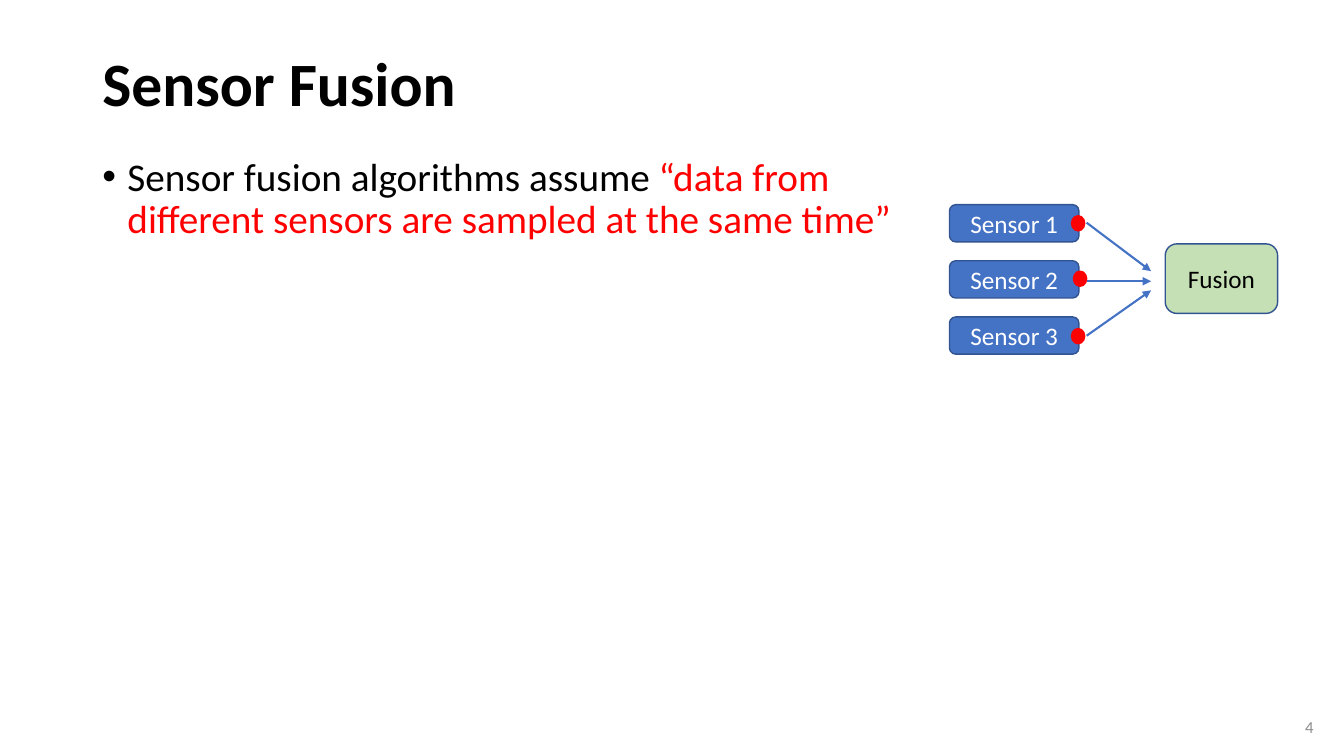
from lxml.etree import SubElement
from pptx import Presentation
from pptx.dml.color import RGBColor
from pptx.enum.shapes import MSO_CONNECTOR, MSO_SHAPE
from pptx.enum.text import MSO_ANCHOR, PP_ALIGN
from pptx.oxml.ns import qn
from pptx.util import Pt

COLORS = {
    "black": "000000", "white": "FFFFFF", "red": "FF0000", "gray": "8C8C8C",
    "blue": "4472C4", "outline": "325491", "green": "C5E0B4",
}


def color(name):
    return RGBColor.from_string(COLORS[name])


def add_span(para, text, size=18, ink="black", bold=False, font="Calibri"):
    span = para.add_run()
    span.text = text
    span.font.name = font
    span.font.size = Pt(size)
    span.font.bold = bold
    span.font.color.rgb = color(ink)


class SlideBuilder:
    def __init__(self, page):
        self.page = page
        self.line_width = 1
        self.arrow_width = 1.5

    def text(self, left, top, width, height, anchor=MSO_ANCHOR.MIDDLE,
             align=PP_ALIGN.LEFT, spacing=1.0):
        """Add a wrapping text box and return its first paragraph."""
        box = self.page.shapes.add_textbox(Pt(left), Pt(top), Pt(width), Pt(height))
        frame = box.text_frame
        frame.word_wrap = True
        frame.vertical_anchor = anchor
        para = frame.paragraphs[0]
        para.alignment = align
        para.line_spacing = spacing
        return para

    def bullet(self, para, indent=18):
        properties = para._p.get_or_add_pPr()
        properties.set("marL", str(Pt(indent)))
        properties.set("indent", str(-Pt(indent)))
        SubElement(properties, qn("a:buFont"), typeface="Arial")
        SubElement(properties, qn("a:buChar"), char="•")

    def shape(self, kind, left, top, width, height, fill, line):
        shape = self.page.shapes.add_shape(kind, Pt(left), Pt(top), Pt(width), Pt(height))
        shape.shadow.inherit = False
        shape.fill.solid()
        shape.fill.fore_color.rgb = color(fill)
        shape.line.color.rgb = color(line)
        shape.line.width = Pt(self.line_width)
        return shape

    def block(self, label, left, top, width, height, fill, ink):
        shape = self.shape(MSO_SHAPE.ROUNDED_RECTANGLE, left, top, width, height,
                           fill, "outline")
        frame = shape.text_frame
        frame.margin_top = frame.margin_bottom = 0
        frame.vertical_anchor = MSO_ANCHOR.MIDDLE
        para = frame.paragraphs[0]
        para.alignment = PP_ALIGN.CENTER
        add_span(para, label, ink=ink)

    def dot(self, left, top):
        self.shape(MSO_SHAPE.OVAL, left, top, 9.4, 10.8, "red", "red")

    def arrow(self, start_x, start_y, end_x, end_y):
        arrow = self.page.shapes.add_connector(
            MSO_CONNECTOR.STRAIGHT, Pt(start_x), Pt(start_y), Pt(end_x), Pt(end_y))
        arrow.line.color.rgb = color("blue")
        arrow.line.width = Pt(self.arrow_width)
        SubElement(arrow.line._get_or_add_ln(), qn("a:tailEnd"), type="triangle")
        SubElement(arrow._element.spPr, qn("a:effectLst"))


def main():
    deck = Presentation()
    deck.slide_width, deck.slide_height = Pt(960), Pt(540)
    page = deck.slides.add_slide(deck.slide_layouts[6])
    builder = SlideBuilder(page)

    # Title and statement
    title = builder.text(66, 28.8, 828, 66.2, spacing=0.9)
    add_span(title, "Sensor Fusion", size=44, bold=True)
    statement = builder.text(66, 108.7, 593.3, 378, anchor=MSO_ANCHOR.TOP, spacing=0.9)
    statement.space_before = Pt(10)
    builder.bullet(statement)
    add_span(statement, "Sensor fusion algorithms assume ", size=28)
    add_span(statement, "“data from different sensors are sampled at the same time”",
             size=28, ink="red")

    # Sensors and fusion block
    sensor_top, sensor_step = 146.2, 40.1
    for index in range(3):
        builder.block(f"Sensor {index + 1}", 678.2, sensor_top + index * sensor_step,
                      92.5, 26.6, "blue", "white")
    builder.block("Fusion", 832.3, 174.2, 80.3, 49.7, "green", "black")

    # Arrows converging on the fusion block
    for start_y, end_y in [(159.1, 193.7), (239.8, 207.4), (200.9, 200.9)]:
        builder.arrow(776.2, start_y, 822.2, end_y)

    # Sample markers
    for left, top in [(765.4, 154.1), (766.8, 193.7), (765.4, 234.7)]:
        builder.dot(left, top)

    # Page number
    number = builder.text(729.4, 504.7, 216, 28.8, align=PP_ALIGN.RIGHT)
    add_span(number, "4", size=12, ink="gray")

    deck.save("out.pptx")


if __name__ == "__main__":
    main()
